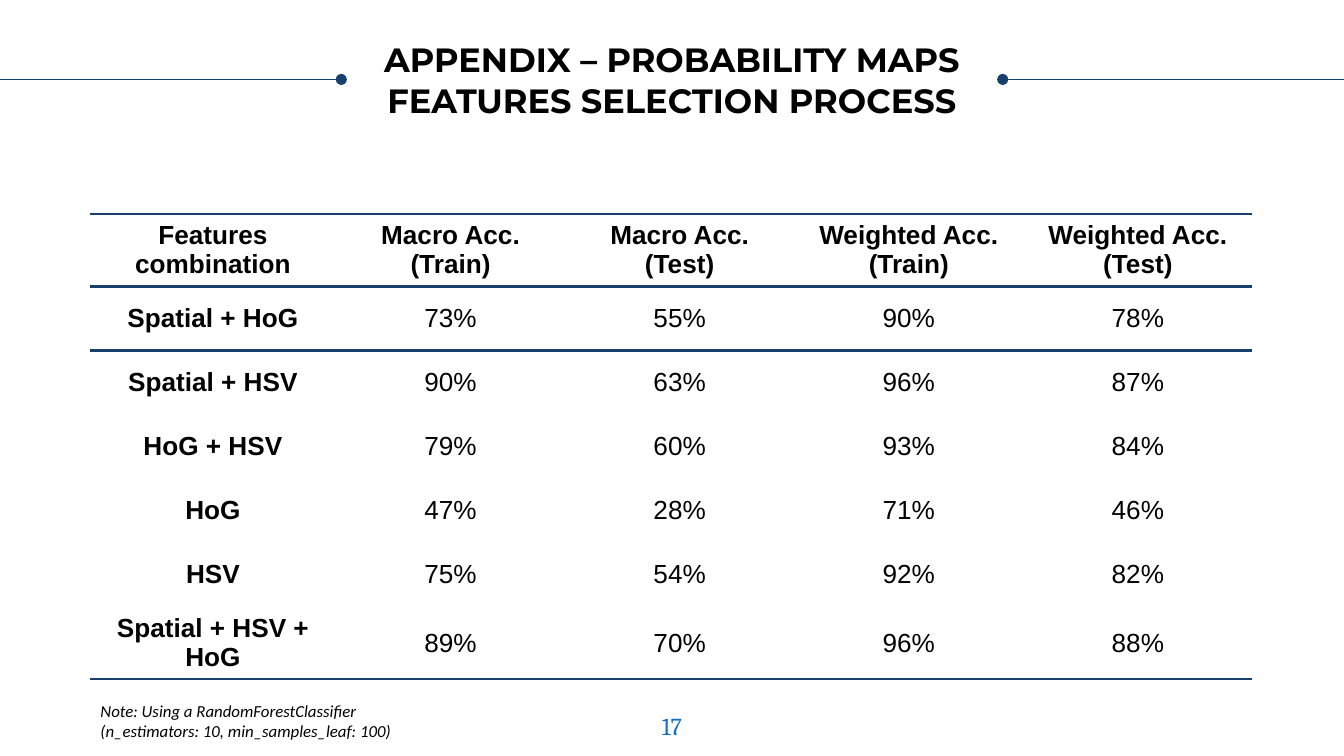
"""Build the appendix slide on feature selection for probability maps."""
from dataclasses import dataclass

from lxml.etree import SubElement
from pptx import Presentation
from pptx.dml.color import RGBColor
from pptx.enum.shapes import MSO_CONNECTOR, MSO_SHAPE
from pptx.enum.text import MSO_ANCHOR, MSO_AUTO_SIZE, PP_ALIGN
from pptx.oxml.ns import qn
from pptx.slide import Slide
from pptx.table import _Cell
from pptx.text.text import TextFrame
from pptx.util import Cm, Pt

NAVY = RGBColor(0x17, 0x40, 0x6D)
BLUE = RGBColor(0x0F, 0x6F, 0xC6)
BLACK = RGBColor(0, 0, 0)
WHITE = RGBColor(0xFF, 0xFF, 0xFF)
SLIDE_WIDTH = 25.4
TITLE_LEFT, TITLE_WIDTH = 6.45, 12.5
RULE_TOP = 1.5
TABLE_LEFT, TABLE_TOP = 1.7, 4.04
COLUMN_WIDTHS = [4.65] + [4.33] * 4
ROW_HEIGHTS = [1.37] + [1.21] * 5 + [1.37]
HEADERS = (
    "Features combination",
    "Macro Acc.\n(Train)",
    "Macro Acc.\n(Test)",
    "Weighted Acc.\n(Train)",
    "Weighted Acc.\n(Test)",
)


@dataclass(frozen=True)
class TextStyle:
    font: str
    size: float
    color: RGBColor = BLACK
    bold: bool = False
    italic: bool = False
    alignment: PP_ALIGN = PP_ALIGN.CENTER


@dataclass(frozen=True)
class FeatureResult:
    features: str
    accuracies: tuple[int, ...]


RESULTS = (
    FeatureResult("Spatial + HoG", (73, 55, 90, 78)),
    FeatureResult("Spatial + HSV", (90, 63, 96, 87)),
    FeatureResult("HoG + HSV", (79, 60, 93, 84)),
    FeatureResult("HoG", (47, 28, 71, 46)),
    FeatureResult("HSV", (75, 54, 92, 82)),
    FeatureResult("Spatial + HSV + HoG", (89, 70, 96, 88)),
)
RULED_EDGES = {0, 1, 2, len(RESULTS) + 1}


def write_text(text_frame: TextFrame, text: str, style: TextStyle) -> None:
    """Fill a text frame and format its runs."""
    text_frame.text = text
    for paragraph in text_frame.paragraphs:
        paragraph.alignment = style.alignment
        for run in paragraph.runs:
            run.font.name = style.font
            run.font.size = Pt(style.size)
            run.font.bold = style.bold
            run.font.italic = style.italic
            run.font.color.rgb = style.color


def set_margins(text_frame: TextFrame, horizontal: float, vertical: float) -> None:
    """Set the inner margins in centimetres."""
    text_frame.margin_left = text_frame.margin_right = Cm(horizontal)
    text_frame.margin_top = text_frame.margin_bottom = Cm(vertical)


def add_rule(slide: Slide, start: float, end: float) -> None:
    """Draw a horizontal rule with a dot at its start."""
    rule = slide.shapes.add_connector(
        MSO_CONNECTOR.STRAIGHT, Cm(start), Cm(RULE_TOP), Cm(end), Cm(RULE_TOP)
    )
    rule.line.color.rgb = NAVY
    rule.line.width = Pt(0.75)
    SubElement(rule.line._get_or_add_ln(), qn("a:headEnd"), type="oval")
    SubElement(rule._element.spPr, qn("a:effectLst"))


def add_border(cell: _Cell, side: str, visible: bool) -> None:
    """Give one side of a cell a navy line or none."""
    properties = cell._tc.get_or_add_tcPr()
    line = SubElement(properties, qn(f"a:{side}"), w=str(Pt(1.5)))
    if visible:
        fill = SubElement(line, qn("a:solidFill"))
        SubElement(fill, qn("a:srgbClr"), val=str(NAVY))
    else:
        SubElement(line, qn("a:noFill"))


def add_title(slide: Slide) -> None:
    """Place the title between two rules."""
    add_rule(slide, TITLE_LEFT, 0)
    add_rule(slide, TITLE_LEFT + TITLE_WIDTH, SLIDE_WIDTH)
    title = slide.shapes.title
    title.left, title.top = Cm(TITLE_LEFT), Cm(0.3)
    title.width, title.height = Cm(TITLE_WIDTH), Cm(2.4)
    text_frame = title.text_frame
    text_frame.auto_size = MSO_AUTO_SIZE.NONE
    text_frame.vertical_anchor = MSO_ANCHOR.MIDDLE
    set_margins(text_frame, 0.25, 0.25)
    write_text(
        text_frame,
        "APPENDIX – PROBABILITY MAPS\vFEATURES SELECTION PROCESS",
        TextStyle("Montserrat", 18, bold=True),
    )


def add_results_table(slide: Slide) -> None:
    """Add the table of accuracies by features combination."""
    rows = [HEADERS] + [
        (result.features, *(f"{accuracy}%" for accuracy in result.accuracies))
        for result in RESULTS
    ]
    table = slide.shapes.add_table(
        len(rows), len(HEADERS), Cm(TABLE_LEFT), Cm(TABLE_TOP),
        Cm(sum(COLUMN_WIDTHS)), Cm(sum(ROW_HEIGHTS)),
    ).table
    table.horz_banding = False
    for column, width in zip(table.columns, COLUMN_WIDTHS):
        column.width = Cm(width)
    for row, height in zip(table.rows, ROW_HEIGHTS):
        row.height = Cm(height)
    for row_index, texts in enumerate(rows):
        for column_index, text in enumerate(texts):
            cell = table.cell(row_index, column_index)
            is_heading = row_index == 0 or column_index == 0
            write_text(cell.text_frame, text, TextStyle("Arial", 14, bold=is_heading))
            cell.vertical_anchor = MSO_ANCHOR.MIDDLE
            add_border(cell, "lnL", False)
            add_border(cell, "lnR", False)
            add_border(cell, "lnT", row_index in RULED_EDGES)
            add_border(cell, "lnB", row_index + 1 in RULED_EDGES)
            cell.fill.background()


def add_footer(slide: Slide) -> None:
    """Add the note and the page number."""
    note = slide.shapes.add_shape(
        MSO_SHAPE.RECTANGLE, Cm(TABLE_LEFT), Cm(13.18), Cm(10.24), Cm(0.86)
    )
    note.shadow.inherit = False
    note.fill.solid()
    note.fill.fore_color.rgb = WHITE
    note.line.fill.background()
    note.text_frame.vertical_anchor = MSO_ANCHOR.MIDDLE
    set_margins(note.text_frame, 0.2, 0.13)
    write_text(
        note.text_frame,
        "Note: Using a RandomForestClassifier\n(n_estimators: 10, min_samples_leaf: 100)",
        TextStyle("Calibri", 9, italic=True, alignment=PP_ALIGN.LEFT),
    )
    number = slide.shapes.add_textbox(Cm(11.94), Cm(13.18), Cm(1.52), Cm(1.1))
    number.text_frame.word_wrap = True
    set_margins(number.text_frame, 0.25, 0.25)
    write_text(number.text_frame, "17", TextStyle("Cambria", 13, BLUE))


def main() -> None:
    """Build and save the presentation."""
    presentation = Presentation()
    presentation.slide_width = Cm(SLIDE_WIDTH)
    presentation.slide_height = Cm(14.28)
    slide = presentation.slides.add_slide(presentation.slide_layouts[5])
    add_title(slide)
    add_results_table(slide)
    add_footer(slide)
    presentation.save("out.pptx")


if __name__ == "__main__":
    main()
